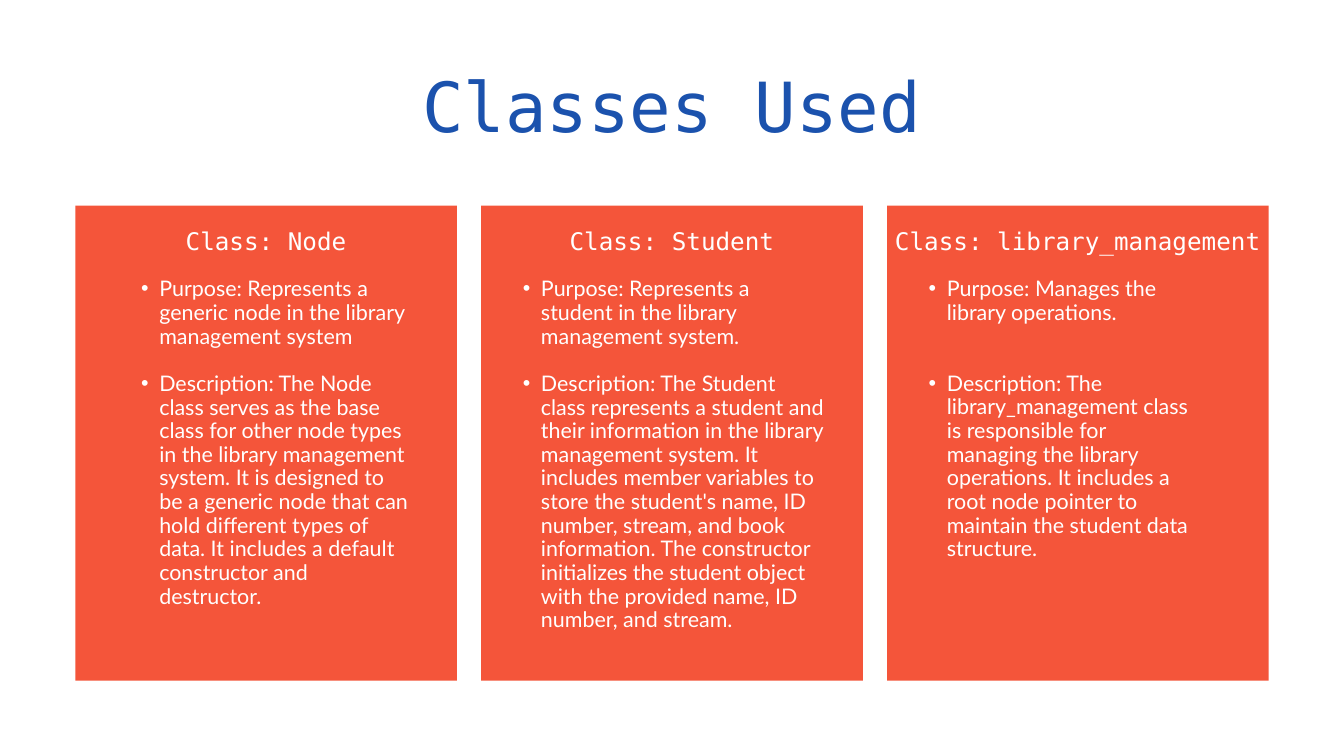
from dataclasses import dataclass

from lxml.etree import SubElement
from pptx import Presentation
from pptx.dml.color import RGBColor
from pptx.enum.shapes import MSO_SHAPE
from pptx.enum.text import MSO_ANCHOR, MSO_AUTO_SIZE, PP_ALIGN
from pptx.oxml.ns import qn
from pptx.shapes.base import BaseShape
from pptx.slide import Slide
from pptx.text.text import TextFrame, _Paragraph as Para
from pptx.util import Pt

SCALE = 9144  # EMU per px, 100 px to the inch
RED, BLUE, WHITE = "F4553A", "1B52AD", "FFFFFF"
MONO, SANS = "DejaVu Sans Mono", "Lato"
LEFT, TOP, WIDTH, HEIGHT, GAP = 112, 306, 568, 707, 36
LEAD = 25.3  # line pitch of the lists, in points


@dataclass(frozen=True)
class Card:
    name: str
    purpose: str
    about: str
    inset: int
    width: int
    skip: int  # lines left free between the two bullets


CARDS = (
    Card("Node",
         "Represents a generic node in the library management system",
         "The Node class serves as the base class for other node types in the "
         "library management system. It is designed to be a generic node that "
         "can hold different types of data. It includes a default constructor "
         "and destructor.",
         71, 426, 1),
    Card("Student",
         "Represents a student in the library management system.",
         "The Student class represents a student and their information in the "
         "library management system. It includes member variables to store the "
         "student's name, ID number, stream, and book information. The "
         "constructor initializes the student object with the provided name, "
         "ID number, and stream.",
         35, 478, 1),
    Card("library_management",
         "Manages the library operations.",
         "The library_management class is responsible for managing the library "
         "operations. It includes a root node pointer to maintain the student "
         "data structure.",
         35, 426, 2),
)


def px(n: int) -> int:
    return n * SCALE


def color(code: str) -> RGBColor:
    return RGBColor.from_string(code)


def place(shape: BaseShape, x: int, y: int, w: int, h: int) -> None:
    shape.left, shape.top, shape.width, shape.height = map(px, (x, y, w, h))


def reset(frame: TextFrame) -> None:
    """Top-anchored wrapped text without margins or fitting."""
    frame.margin_left = frame.margin_right = 0
    frame.margin_top = frame.margin_bottom = 0
    frame.word_wrap = True
    frame.auto_size = MSO_AUTO_SIZE.NONE
    frame.vertical_anchor = MSO_ANCHOR.TOP


def style(para: Para, face: str, size: int, code: str, lead: float,
          align: PP_ALIGN = PP_ALIGN.CENTER) -> None:
    para.alignment = align
    para.line_spacing = Pt(lead)
    para.space_before = para.space_after = Pt(0)
    font = para.font
    font.name, font.size, font.bold = face, Pt(size), False
    font.color.rgb = color(code)


def bullet(para: Para) -> None:
    props = para._p.get_or_add_pPr()
    props.set("marL", str(px(54)))
    props.set("indent", str(px(-27)))
    mark = SubElement(props, qn("a:buChar"), char="•")
    props.insert_element_before(mark, "a:defRPr")


def panel(slide: Slide, x: int) -> None:
    """Draw a red panel behind the placeholders."""
    box = slide.shapes.add_shape(
        MSO_SHAPE.RECTANGLE, *map(px, (x, TOP, WIDTH, HEIGHT)))
    box.shadow.inherit = False
    box.fill.solid()
    box.fill.fore_color.rgb = color(RED)
    box.line.fill.background()
    slide.shapes._spTree.insert(2, box._element)


def heading(slide: Slide, name: str, x: int) -> None:
    box = slide.shapes.add_textbox(*map(px, (x, 342, WIDTH, 44)))
    frame = box.text_frame
    reset(frame)
    frame.text = f"Class: {name}"
    style(frame.paragraphs[0], MONO, 26, WHITE, 27.6)


def fill(body: BaseShape, card: Card, x: int) -> None:
    place(body, x + card.inset, 413, card.width, 594)
    frame = body.text_frame
    reset(frame)
    frame.text = f"Purpose: {card.purpose}\nDescription: {card.about}"
    for para in frame.paragraphs:
        style(para, SANS, 23, WHITE, LEAD, PP_ALIGN.LEFT)
        bullet(para)
    frame.paragraphs[0].space_after = Pt(LEAD * card.skip)


def main() -> None:
    deck = Presentation()
    deck.slide_width, deck.slide_height = px(2000), px(1125)
    slide = deck.slides.add_slide(deck.slide_layouts.get_by_name("Comparison"))
    title, *bodies = slide.placeholders

    place(title, LEFT, 109, 1775, 125)
    reset(title.text_frame)
    title.text_frame.text = "Classes Used"
    style(title.text_frame.paragraphs[0], MONO, 74, BLUE, 78.4)

    for i, (card, body) in enumerate(zip(CARDS, bodies)):
        x = LEFT + i * (WIDTH + GAP)
        panel(slide, x)
        heading(slide, card.name, x)
        fill(body, card, x)
    for spare in bodies[len(CARDS):]:
        slide.shapes._spTree.remove(spare._element)

    deck.save("out.pptx")


if __name__ == "__main__":
    main()
